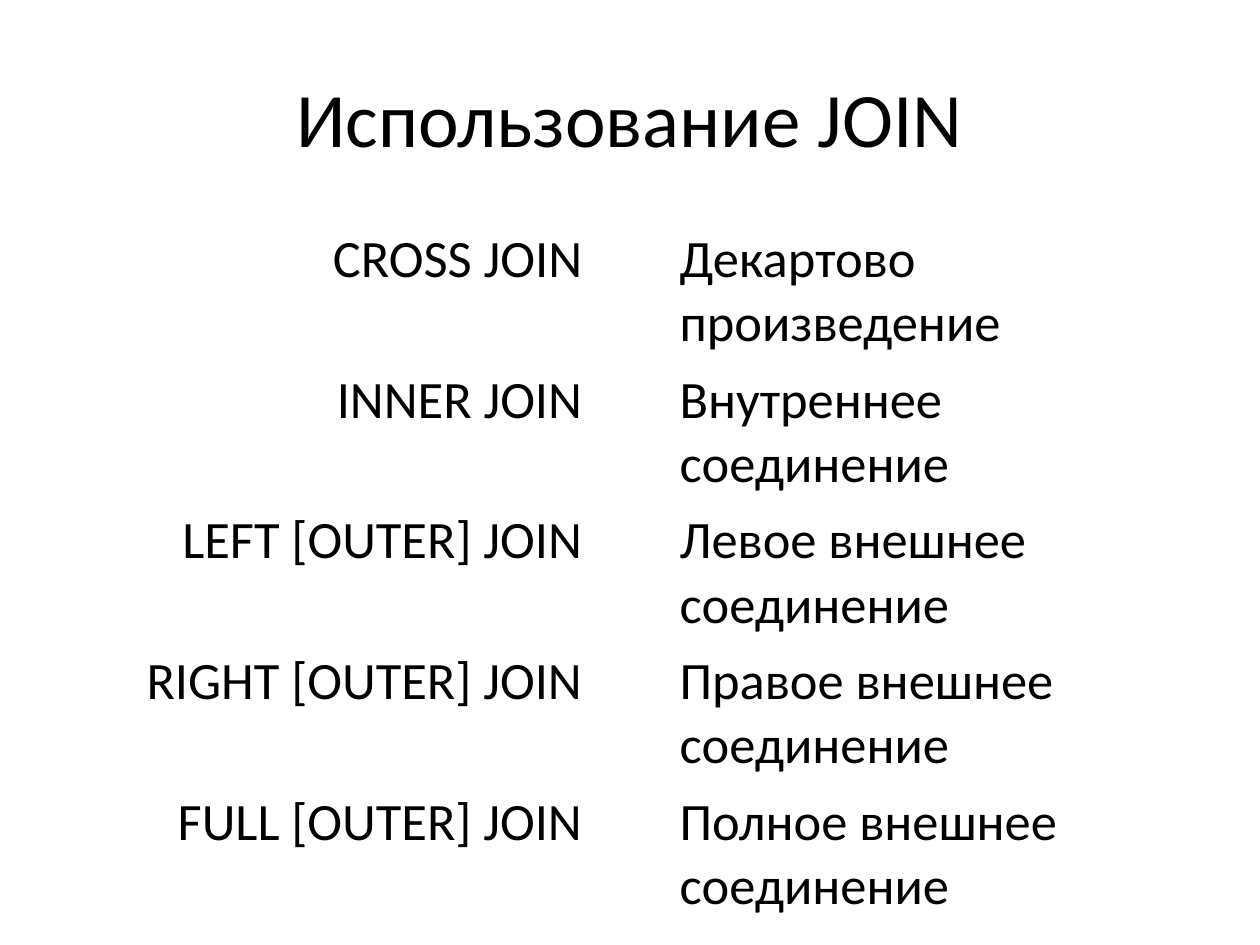
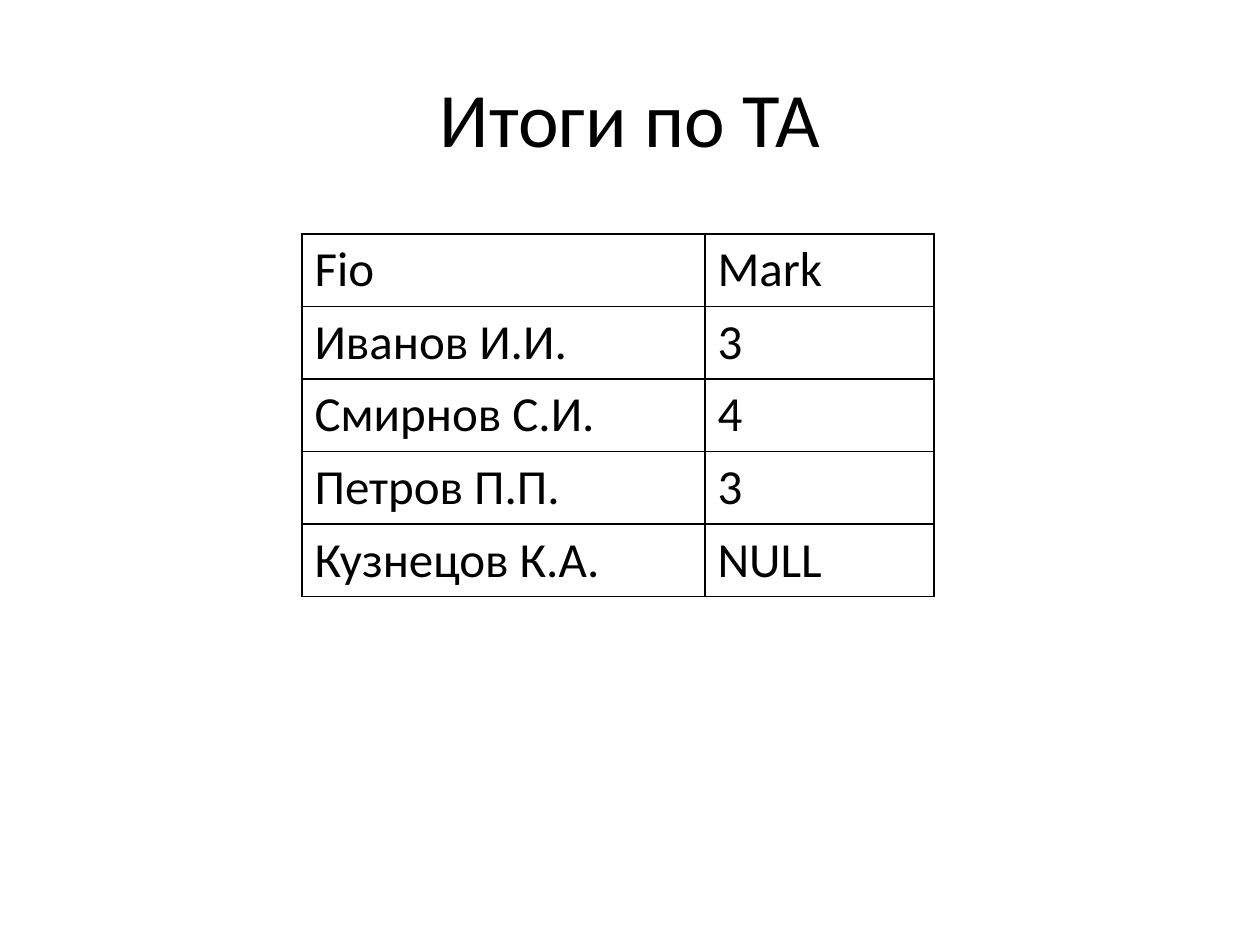
from lxml import etree
from pptx import Presentation
from pptx import util as u
from pptx.dml.color import RGBColor
from pptx.enum import text
from pptx.oxml import ns

PX = 914400 / 126
FONT = "Calibri"
COLOURS = {"ink": "000000", "background": "FFFFFF"}
TITLE_BOX = (63, 38, 1134, 157)

JOINS = [
    ("CROSS JOIN", "", "Декартово произведение"),
    ("INNER JOIN", "", "Внутреннее соединение"),
    ("LEFT [OUTER] JOIN", "", "Левое внешнее соединение"),
    ("RIGHT [OUTER] JOIN", "", "Правое внешнее соединение"),
    ("FULL [OUTER] JOIN", "", "Полное внешнее соединение"),
]
MARKS = [
    ("Fio", "Mark"),
    ("Иванов И.И.", "3"),
    ("Смирнов С.И.", "4"),
    ("Петров П.П.", "3"),
    ("Кузнецов К.А.", "NULL"),
]


def px(length):
    return u.Emu(round(length * PX))


def style_paragraph(paragraph, size, alignment):
    paragraph.alignment = alignment
    paragraph.font.name = FONT
    paragraph.font.size = u.Pt(size)
    paragraph.font.bold = False
    paragraph.font.color.rgb = RGBColor.from_string(COLOURS["ink"])


def add_titled_slide(presentation, title):
    slide = presentation.slides.add_slide(presentation.slide_layouts[5])
    slide.background.fill.solid()
    slide.background.fill.fore_color.rgb = RGBColor.from_string(COLOURS["background"])
    shape = slide.shapes.title
    shape.left, shape.top, shape.width, shape.height = map(px, TITLE_BOX)
    shape.text_frame.text = title
    shape.text_frame.vertical_anchor = text.MSO_ANCHOR.MIDDLE
    style_paragraph(shape.text_frame.paragraphs[0], 44, text.PP_ALIGN.CENTER)
    return slide


def add_borders(cell, points):
    properties = cell._tc.get_or_add_tcPr()
    for side in ("lnL", "lnR", "lnT", "lnB"):
        line = etree.SubElement(properties, ns.qn(f"a:{side}"), w=str(u.Pt(points)))
        fill = etree.SubElement(line, ns.qn("a:solidFill"))
        etree.SubElement(fill, ns.qn("a:srgbClr"), val=COLOURS["ink"])


def add_text_table(slide, rows, left, top, widths, row_height, size, alignments, border=0):
    table = slide.shapes.add_table(
        len(rows), len(widths), px(left), px(top), px(sum(widths)), px(row_height * len(rows))
    ).table
    table.first_row = table.horz_banding = False
    for column, width in zip(table.columns, widths):
        column.width = px(width)
    for row, values in zip(table.rows, rows):
        row.height = px(row_height)
        for cell, value, alignment in zip(row.cells, values, alignments):
            cell.text = value
            style_paragraph(cell.text_frame.paragraphs[0], size, alignment)
            if border:
                add_borders(cell, border)
            cell.fill.background()


def main():
    presentation = Presentation()
    presentation.slide_width, presentation.slide_height = px(1260), px(945)
    left, right = text.PP_ALIGN.LEFT, text.PP_ALIGN.RIGHT

    slide = add_titled_slide(presentation, "Использование JOIN")
    add_text_table(slide, JOINS, 115, 221, (480, 72, 530), 140, 30, (right, left, left))

    slide = add_titled_slide(presentation, "Итоги по ТА")
    add_text_table(slide, MARKS, 302, 234, (403, 229), 72, 28, (left, left), border=1)

    presentation.save("out.pptx")


if __name__ == "__main__":
    main()
